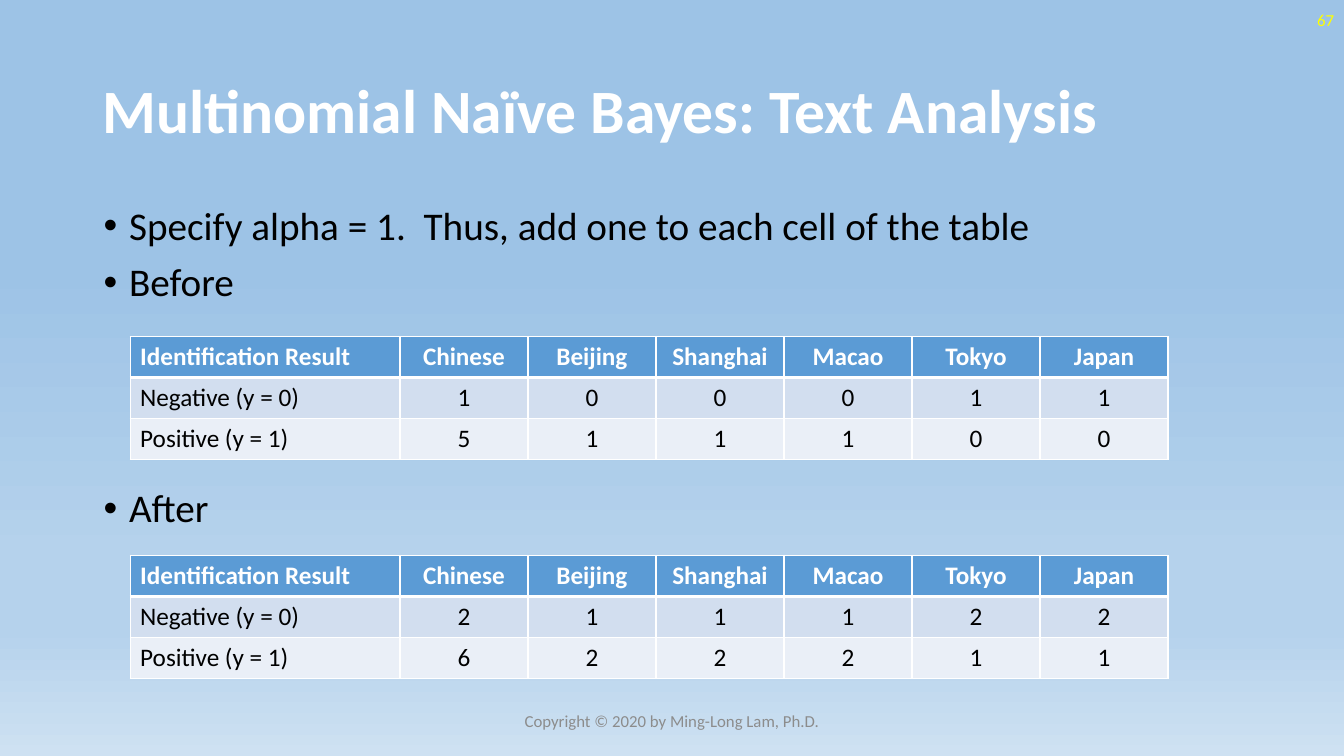
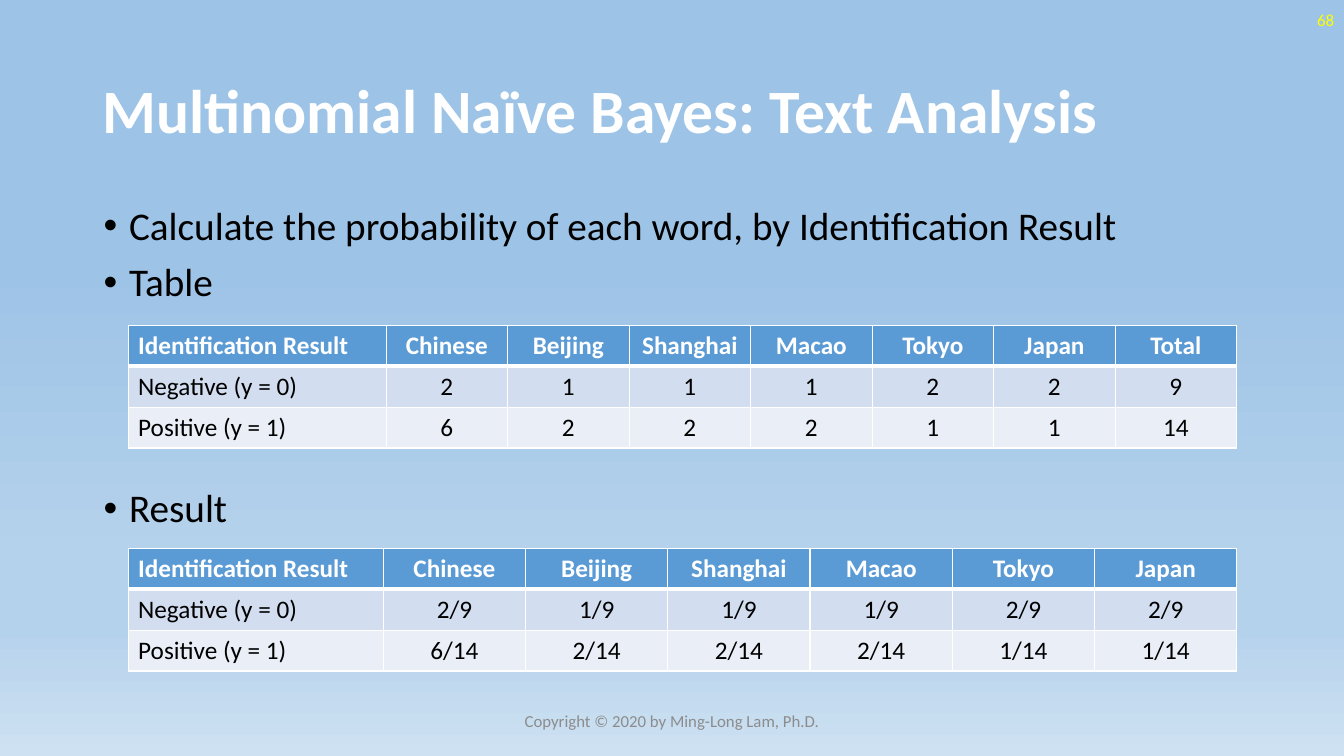
from dataclasses import dataclass
from typing import Optional

from lxml.etree import SubElement
from pptx import Presentation
from pptx.dml.color import RGBColor
from pptx.enum.text import MSO_ANCHOR, MSO_AUTO_SIZE, PP_ALIGN
from pptx.oxml.ns import qn
from pptx.presentation import Presentation as Deck
from pptx.slide import Slide
from pptx.table import _Cell
from pptx.text.text import TextFrame, _Paragraph
from pptx.util import Cm, Pt

FONT = "Calibri"
COLORS = {
    "title": "FFFFFF",
    "text": "000000",
    "page": "FFFF00",
    "copyright": "8C8C8C",
    "border": "FFFFFF",
    "header": "5B9BD5",
    "odd_row": "D2DEEF",
    "even_row": "EAEFF7",
    "sky": "9DC3E6",
    "haze": "B5D2EC",
    "horizon": "CEE1F2",
}
SKY_STOPS = [(35, "sky"), (74, "haze"), (83, "haze"), (100, "horizon")]
TITLE = "Multinomial Naïve Bayes: Text Analysis"
COPYRIGHT = "Copyright © 2020 by Ming-Long Lam, Ph.D."
FIRST_PAGE = 67
ROW_HEIGHT = 1.03
TABLE_GAP = 131  # points left for a table between two bullets

# Word counts and the figures derived from them
WORDS = ["Chinese", "Beijing", "Shanghai", "Macao", "Tokyo", "Japan"]
OUTCOMES = ["Negative (y = 0)", "Positive (y = 1)"]
BEFORE = [[1, 0, 0, 0, 1, 1], [5, 1, 1, 1, 0, 0]]
AFTER = [[count + 1 for count in row] for row in BEFORE]
WITH_TOTAL = [row + [sum(row)] for row in AFTER]
PROBABILITIES = [[f"{count}/{sum(row)}" for count in row] for row in AFTER]


@dataclass
class CountTable:
    left: float
    top: float
    width: float
    label_width: float
    headings: list[str]
    values: list[list]


@dataclass
class Page:
    bullets: list[str]
    tables: list[CountTable]


PAGES = [
    Page(
        ["Specify alpha = 1.  Thus, add one to each cell of the table", "Before", "After"],
        [
            CountTable(3.28, 8.48, 26.16, 6.8, WORDS, BEFORE),
            CountTable(3.28, 14, 26.16, 6.8, WORDS, AFTER),
        ],
    ),
    Page(
        ["Calculate the probability of each word, by Identification Result", "Table", "Result"],
        [
            CountTable(3.23, 8.2, 27.94, 6.5, WORDS + ["Total"], WITH_TOTAL),
            CountTable(3.23, 13.82, 27.94, 6.43, WORDS, PROBABILITIES),
        ],
    ),
]


def write(paragraph: _Paragraph, text: str, *, size: float, color: str,
          bold: bool = False, align: PP_ALIGN = PP_ALIGN.LEFT,
          line_spacing: Optional[float] = None,
          space_before: Optional[float] = None) -> None:
    paragraph.alignment = align
    if line_spacing is not None:
        paragraph.line_spacing = line_spacing
    if space_before is not None:
        paragraph.space_before = Pt(space_before)
    run = paragraph.add_run()
    run.text = text
    run.font.name = FONT
    run.font.size = Pt(size)
    run.font.bold = bold
    run.font.color.rgb = RGBColor.from_string(COLORS[color])


def paint_background(deck: Deck) -> None:
    fill = deck.slide_master.background.fill
    fill.gradient()
    fill.gradient_angle = 270
    stops = deck.slide_master.element.cSld.find(".//" + qn("a:gsLst"))
    for stop in list(stops):
        stops.remove(stop)
    for percent, color in SKY_STOPS:
        stop = SubElement(stops, qn("a:gs"), pos=str(percent * 1000))
        SubElement(stop, qn("a:srgbClr"), val=COLORS[color])


def set_frame(frame: TextFrame, anchor: MSO_ANCHOR) -> None:
    frame.word_wrap = True
    frame.auto_size = MSO_AUTO_SIZE.NONE
    frame.vertical_anchor = anchor


def add_heading(slide: Slide) -> None:
    heading = slide.shapes.title
    heading.left, heading.top, heading.width, heading.height = Cm(2.33), Cm(1.01), Cm(29.21), Cm(3.68)
    set_frame(heading.text_frame, MSO_ANCHOR.MIDDLE)
    write(heading.text_frame.paragraphs[0], TITLE, size=44, color="title",
          bold=True, line_spacing=0.9)


def add_bullets(slide: Slide, bullets: list[str]) -> None:
    body = slide.placeholders[1]
    body.left, body.top, body.width, body.height = Cm(2.36), Cm(5.08), Cm(29.21), Cm(12.09)
    frame = body.text_frame
    set_frame(frame, MSO_ANCHOR.TOP)
    for index, (bullet, gap) in enumerate(zip(bullets, (0, 10, TABLE_GAP))):
        paragraph = frame.add_paragraph() if index else frame.paragraphs[0]
        properties = paragraph._p.get_or_add_pPr()
        properties.set("marL", str(Cm(0.64)))
        properties.set("indent", str(-Cm(0.64)))
        write(paragraph, bullet, size=28, color="text", line_spacing=0.9, space_before=gap)


def add_margin_note(slide: Slide, text: str, left: float, top: float, width: float,
                    color: str, align: PP_ALIGN) -> None:
    note = slide.shapes.add_textbox(Cm(left), Cm(top), Cm(width), Cm(1.01))
    set_frame(note.text_frame, MSO_ANCHOR.MIDDLE)
    write(note.text_frame.paragraphs[0], text, size=12, color=color, align=align)


def set_borders(cell: _Cell, top: float, bottom: float) -> None:
    properties = cell._tc.get_or_add_tcPr()
    sides = {"a:lnL": 1, "a:lnR": 1, "a:lnT": top, "a:lnB": bottom}
    for position, (side, width) in enumerate(sides.items()):
        line = SubElement(properties, qn(side), w=str(Pt(width)))
        fill = SubElement(line, qn("a:solidFill"))
        SubElement(fill, qn("a:srgbClr"), val=COLORS["border"])
        properties.insert(position, line)


def add_count_table(slide: Slide, counts: CountTable) -> None:
    rows = [["Identification Result", *counts.headings]]
    rows += [[outcome, *values] for outcome, values in zip(OUTCOMES, counts.values)]
    columns = len(rows[0])
    table = slide.shapes.add_table(
        len(rows), columns, Cm(counts.left), Cm(counts.top),
        Cm(counts.width), Cm(ROW_HEIGHT * len(rows))).table
    word_width = (counts.width - counts.label_width) / (columns - 1)
    for index, column in enumerate(table.columns):
        column.width = Cm(word_width if index else counts.label_width)
    row_fills = ["header", "odd_row", "even_row"]
    for row_index, (values, row_fill) in enumerate(zip(rows, row_fills)):
        table.rows[row_index].height = Cm(ROW_HEIGHT)
        is_header = row_index == 0
        for column_index, value in enumerate(values):
            cell = table.cell(row_index, column_index)
            cell.vertical_anchor = MSO_ANCHOR.MIDDLE
            cell.fill.solid()
            cell.fill.fore_color.rgb = RGBColor.from_string(COLORS[row_fill])
            # The rule under the header is heavier than the others
            set_borders(cell, top=3 if row_index == 1 else 1, bottom=3 if is_header else 1)
            write(cell.text_frame.paragraphs[0], str(value), size=18, bold=is_header,
                  color="title" if is_header else "text",
                  align=PP_ALIGN.CENTER if column_index else PP_ALIGN.LEFT)


def main() -> None:
    deck = Presentation()
    deck.slide_width, deck.slide_height = Cm(33.87), Cm(19.05)
    paint_background(deck)
    for number, page in enumerate(PAGES, start=FIRST_PAGE):
        slide = deck.slides.add_slide(deck.slide_layouts[1])
        add_heading(slide)
        add_bullets(slide, page.bullets)
        add_margin_note(slide, str(number), 26.25, 0, 7.62, "page", PP_ALIGN.RIGHT)
        for counts in page.tables:
            add_count_table(slide, counts)
        add_margin_note(slide, COPYRIGHT, 11.22, 17.66, 11.43, "copyright", PP_ALIGN.CENTER)
    deck.save("out.pptx")


if __name__ == "__main__":
    main()
